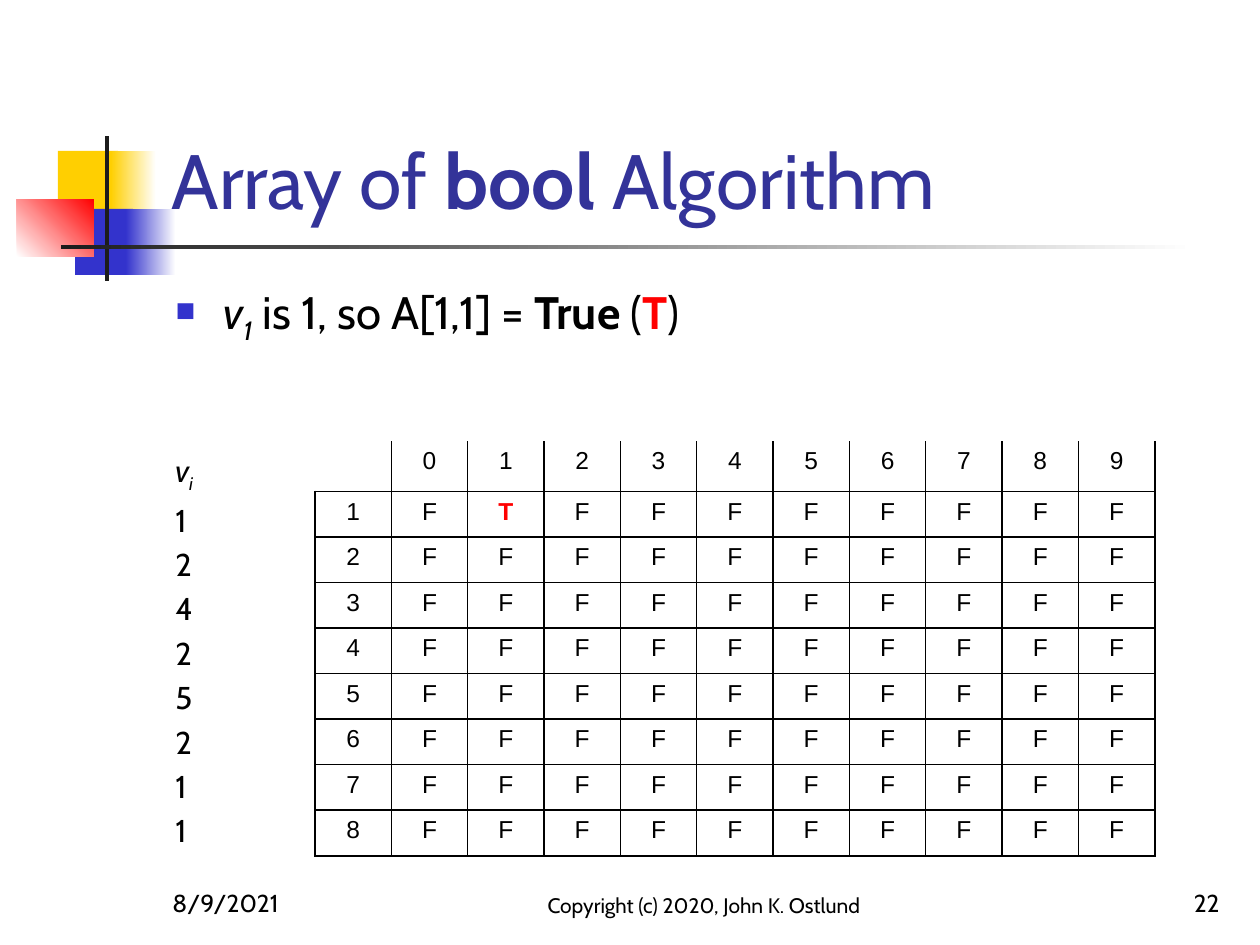
from lxml.etree import SubElement
from pptx import Presentation
from pptx.dml.color import RGBColor
from pptx.enum.shapes import MSO_SHAPE as Shape
from pptx.enum.text import MSO_ANCHOR as Anchor, MSO_AUTO_SIZE as AutoSize, PP_ALIGN as Align
from pptx.oxml.ns import qn
from pptx.util import Pt

PX = 914400 / 126
BLACK = RGBColor(0x00, 0x00, 0x00)
WHITE = RGBColor(0xFF, 0xFF, 0xFF)
INK = RGBColor(0x1C, 0x1C, 0x1C)
YELLOW = RGBColor(0xFF, 0xCF, 0x01)
BLUE = RGBColor(0x33, 0x33, 0xCC)
RED = RGBColor(0xFF, 0x00, 0x00)
TITLE_BLUE = RGBColor(0x33, 0x33, 0x99)
VALUES = (1, 2, 4, 2, 5, 2, 1, 1)
DIGITS = range(10)


def px(length):
    """Turn pixels into EMU."""
    return round(length * PX)


def add_text(paragraph, text, size=18, color=BLACK, font="Cabin",
             bold=False, italic=False, baseline=0, align=Align.LEFT):
    """Add one formatted run to a paragraph."""
    paragraph.alignment = align
    run = paragraph.add_run()
    run.text = text
    run.font.size = Pt(size)
    run.font.name = font
    run.font.bold = bold
    run.font.italic = italic
    run.font.color.rgb = color
    if baseline:
        run.font._element.set("baseline", str(baseline * 1000))


def add_frame(slide, box, anchor=Anchor.TOP):
    """Add a wrapping text box and return its text frame."""
    frame = slide.shapes.add_textbox(*map(px, box)).text_frame
    frame.word_wrap = True
    frame.vertical_anchor = anchor
    return frame


def add_block(slide, box, start, end=None, angle=0):
    """Add a borderless rectangle, plain or fading from start to end."""
    block = slide.shapes.add_shape(Shape.RECTANGLE, *map(px, box))
    block.shadow.inherit = False
    block.line.fill.background()
    if end is None:
        block.fill.solid()
        block.fill.fore_color.rgb = start
        return
    block.fill.gradient()
    block.fill.gradient_angle = angle
    for stop, color, position in zip(block.fill.gradient_stops, (start, end), (0, 1)):
        stop.color.rgb = color
        stop.position = position


def add_ornament(slide, box):
    """Draw the coloured squares and the crossing bars."""
    left, top, width, height = box
    parts = (
        ((41, 15, 60, 65), YELLOW, None, 0),
        ((94, 15, 45, 65), YELLOW, WHITE, 0),
        ((58, 73, 58, 66), BLUE, None, 0),
        ((109, 73, 50, 66), BLUE, WHITE, 0),
        ((0, 63, 77, 58), WHITE, RED, 45),
        ((88, 0, 4, height), INK, None, 0),
        ((44, 109, width - 44, 4), INK, WHITE, 0),
    )
    for (x, y, w, h), start, end, angle in parts:
        add_block(slide, (left + x, top + y, w, h), start, end, angle)


def add_title(slide, box):
    """Place the title in front of the ornament."""
    title = slide.shapes.title
    title.element.getparent().append(title.element)
    title.left, title.top, title.width, title.height = map(px, box)
    frame = title.text_frame
    frame.auto_size = AutoSize.NONE
    frame.vertical_anchor = Anchor.BOTTOM
    for text, bold in (("Array of ", False), ("bool", True), (" Algorithm", False)):
        add_text(frame.paragraphs[0], text, size=44, color=TITLE_BLUE, bold=bold)


def add_bullet(paragraph):
    """Give a paragraph a hanging square bullet."""
    properties = paragraph._p.get_or_add_pPr()
    properties.set("marL", str(px(48)))
    properties.set("indent", str(px(-48)))
    bullet_color = SubElement(properties, qn("a:buClr"))
    SubElement(bullet_color, qn("a:srgbClr"), val=str(BLUE))
    SubElement(properties, qn("a:buSzPct"), val="60000")
    SubElement(properties, qn("a:buChar"), char="■")


def add_body(slide, box):
    """Write the statement and the column of values below it."""
    frame = add_frame(slide, box)
    statement = frame.paragraphs[0]
    add_bullet(statement)
    add_text(statement, "v", size=26, italic=True)
    add_text(statement, "1", size=26, italic=True, baseline=-25)
    add_text(statement, " is 1, so A[1,1] = ", size=26)
    add_text(statement, "True", size=26, bold=True)
    add_text(statement, " (", size=26)
    add_text(statement, "T", size=26, bold=True, color=RED)
    add_text(statement, ")", size=26)

    heading = frame.add_paragraph()
    heading.space_before = Pt(60)
    heading.space_after = Pt(3.75)
    add_text(heading, "v", italic=True)
    add_text(heading, "i", italic=True, baseline=-25)
    for value in VALUES:
        row = frame.add_paragraph()
        row.space_after = Pt(3.75)
        add_text(row, str(value))


def set_borders(cell, sides):
    """Draw black lines on the named sides and clear the others."""
    properties = cell._tc.get_or_add_tcPr()
    for side in "LRTB":
        line = SubElement(properties, qn(f"a:ln{side}"), w=str(Pt(1)))
        if side in sides:
            fill = SubElement(line, qn("a:solidFill"))
            SubElement(fill, qn("a:srgbClr"), val=str(BLACK))
        else:
            SubElement(line, qn("a:noFill"))


def add_flags(slide, box):
    """Build the grid of flags, one row per value and one column per digit."""
    rows, columns = len(VALUES) + 1, len(DIGITS) + 1
    grid = slide.shapes.add_table(rows, columns, *map(px, box)).table
    grid.first_row = grid.horz_banding = False
    for column in grid.columns:
        column.width = px(box[2] / columns)
    for row in grid.rows:
        row.height = px(box[3] / rows)

    for r in range(rows):
        for c in range(columns):
            cell = grid.cell(r, c)
            if r == 0:
                sides = "LRB" if c else "RB"
                text = str(DIGITS[c - 1]) if c else ""
            else:
                sides = "LRTB"
                text = "F" if c else str(r)
            set_borders(cell, sides)
            cell.fill.background()
            marked = r == 1 and c == DIGITS.index(VALUES[0]) + 1
            if text:
                add_text(cell.text_frame.paragraphs[0], "T" if marked else text,
                         size=14, font="Arial", bold=marked,
                         color=RED if marked else BLACK, align=Align.CENTER)


def add_footer(slide, box):
    """Write the date, the copyright line and the page number."""
    left, top, width, height = box
    parts = (
        (0, 262, "8/9/2021", 14, Align.LEFT),
        (344, 400, "Copyright (c) 2020, John K. Ostlund", 12, Align.CENTER),
        (width - 262, 262, "22", 14, Align.RIGHT),
    )
    for x, part_width, text, size, align in parts:
        frame = add_frame(slide, (left + x, top, part_width, height), Anchor.BOTTOM)
        add_text(frame.paragraphs[0], text, size=size, align=align)


def main():
    """Build the slide and save it."""
    deck = Presentation()
    deck.slide_width, deck.slide_height = px(1260), px(945)
    slide = deck.slides.add_slide(deck.slide_layouts[5])
    add_ornament(slide, (17, 136, 1178, 145))
    add_title(slide, (159, 29, 1073, 202))
    add_body(slide, (163, 278, 1071, 567))
    add_footer(slide, (160, 861, 1072, 63))
    add_flags(slide, (315, 441, 840, 410))
    deck.save("out.pptx")


if __name__ == "__main__":
    main()
